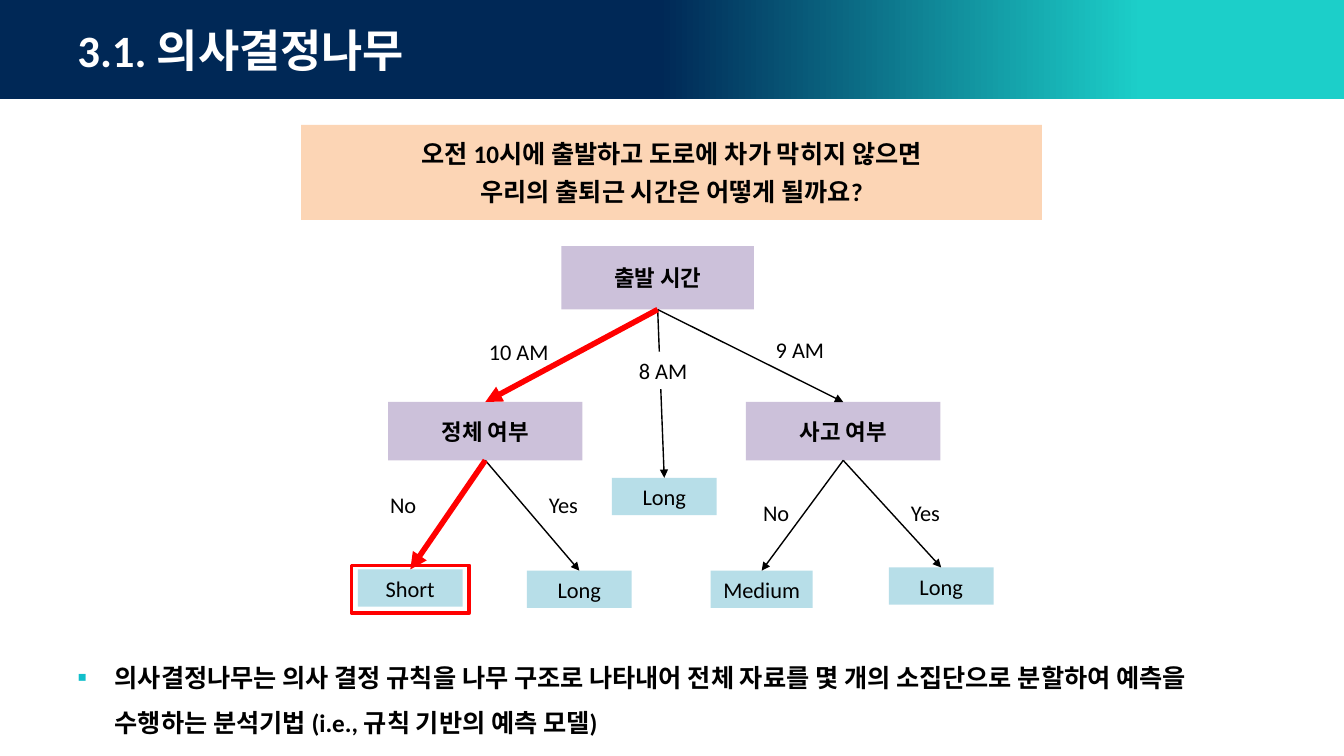
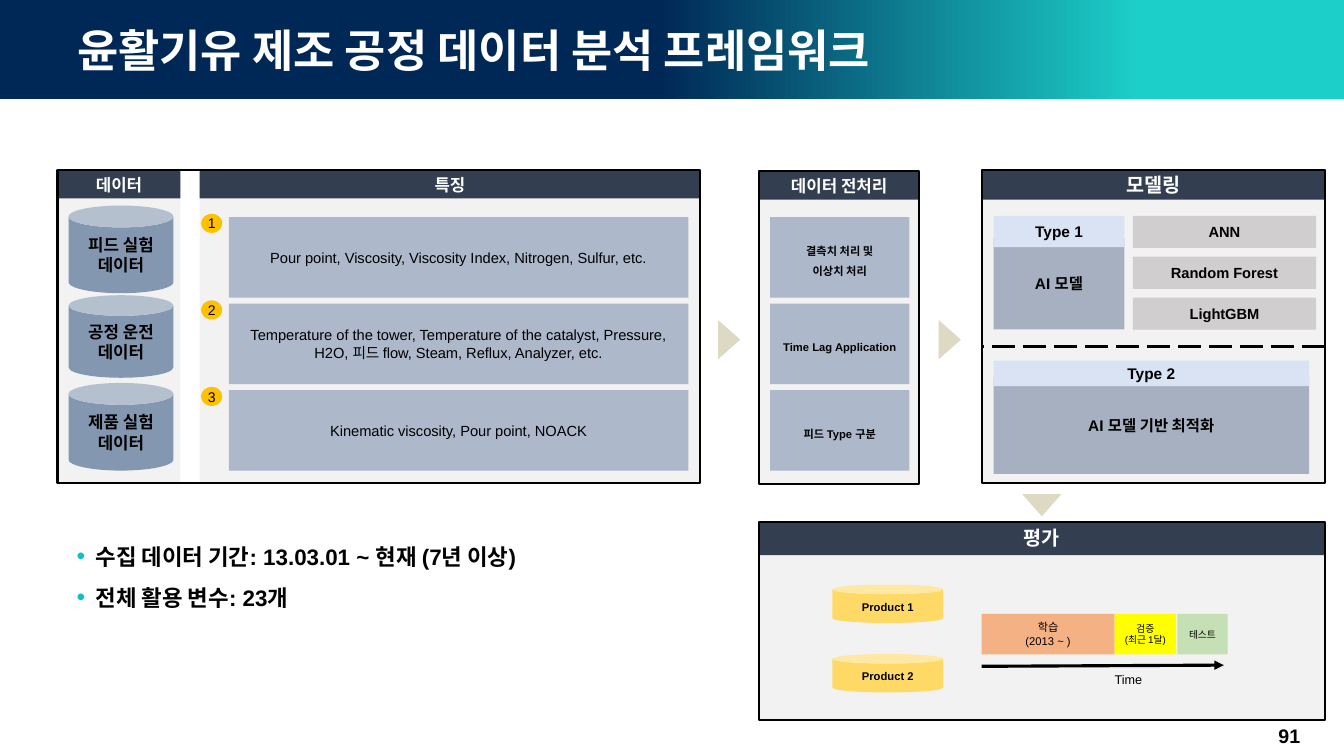
from functools import partial
from lxml import etree
from pptx import Presentation
from pptx.dml.color import RGBColor
from pptx.enum import dml, shapes, text
from pptx.oxml import ns
from pptx.util import Cm, Pt

KIND = shapes.MSO_SHAPE
MID, TOP = text.MSO_ANCHOR.MIDDLE, text.MSO_ANCHOR.TOP
LEFT, MIDST, RIGHT = text.PP_ALIGN.LEFT, text.PP_ALIGN.CENTER, text.PP_ALIGN.RIGHT
BLACK, WHITE, RED = "000000", "FFFFFF", "FF0000"
NAVY, TEAL, MINT = "002856", "1CCFC9", "11BFCB"
PEACH, LILAC, SKY = "FCD5B5", "CCC1DA", "B7DEE8"
PALE, SLATE, STEEL, SAND = "F2F2F2", "333F50", "ADB9CA", "DDD9C3"
WIDE, TALL, BAND = 33.87, 19.05, 2.49


def color(code):
    return RGBColor.from_string(code)


def add(node, tag, **attrs):
    item = etree.SubElement(node, ns.qn(tag))
    for key, value in attrs.items():
        item.set(key, value)
    return item


def bullet(para, mark, indent):
    props = para._p.get_or_add_pPr()
    props.set("marL", str(Cm(indent)))
    props.set("indent", str(-Cm(indent)))
    add(add(props, "a:buClr"), "a:srgbClr", val=MINT)
    add(props, "a:buSzPct", val="110000")
    add(props, "a:buFont", typeface="Arial")
    add(props, "a:buChar", char=mark)


def write(shape, words, face, size, bold, ink, align, anchor, wrap, gap, lead, mark, indent):
    frame = shape.text_frame
    frame.word_wrap = wrap
    frame.vertical_anchor = anchor
    if anchor == MID:
        frame.margin_top = frame.margin_bottom = 0
    for i, line in enumerate(words.split("\n")):
        para = frame.add_paragraph() if i else frame.paragraphs[0]
        para.text = line
        para.alignment = align
        if mark:
            bullet(para, mark, indent)
        if lead:
            para.line_spacing = lead
        if i and gap:
            para.space_before = Pt(gap)
        font = para.font
        font.name, font.size, font.bold = face, Pt(size), bold
        font.color.rgb = color(ink)


def box(slide, x, y, w, h, words="", size=12, fill=None, kind=KIND.RECTANGLE, face="Arial",
        bold=False, ink=BLACK, align=MIDST, anchor=MID, wrap=True, gap=0, lead=None,
        mark=None, indent=0, edge=None, turn=0):
    place = [Cm(v) for v in (x, y, w, h)]
    if kind is None:
        shape = slide.shapes.add_textbox(*place)
    else:
        shape = slide.shapes.add_shape(kind, *place)
        shape.shadow.inherit = False
    shape.rotation = turn
    if fill:
        shape.fill.solid()
        shape.fill.fore_color.rgb = color(fill)
    else:
        shape.fill.background()
    if edge:
        shape.line.color.rgb = color(edge[0])
        shape.line.width = Pt(edge[1])
    else:
        shape.line.fill.background()
    if words:
        write(shape, words, face, size, bold, ink, align, anchor, wrap, gap, lead, mark, indent)
    return shape


def line(slide, ends, ink=BLACK, width=1, head=True, dash=None):
    link = slide.shapes.add_connector(shapes.MSO_CONNECTOR.STRAIGHT, *[Cm(v) for v in ends])
    link.line.color.rgb = color(ink)
    link.line.width = Pt(width)
    if dash:
        link.line.dash_style = dash
    if head:
        add(link.line._get_or_add_ln(), "a:tailEnd", type="triangle")
    add(link._element.spPr, "a:effectLst")
    return link


def branch(slide, start, end, hot=False):
    link = line(slide, (0, 0, 0, 0), RED if hot else BLACK, 4 if hot else 1)
    link.begin_connect(start, 2)
    link.end_connect(end, 0)


def base(deck, title, face):
    slide = deck.slides.add_slide(deck.slide_layouts[6])
    band = box(slide, 0, 0, WIDE, BAND)
    band.fill.gradient()
    band.fill.gradient_angle = 0
    for stop, (spot, code) in zip(band.fill.gradient_stops, ((0.49, NAVY), (0.85, TEAL))):
        stop.position = spot
        stop.color.rgb = color(code)
    box(slide, 1.7, 0, 30.48, BAND, title, 32, kind=None, face=face, bold=True,
        ink=WHITE, align=LEFT)
    return slide


def tree(deck):
    slide = base(deck, "3.1. 의사결정나무", "Calibri")
    put = partial(box, slide, face="Calibri")
    put(7.59, 3.15, 18.67, 2.39, "오전 10시에 출발하고 도로에 차가 막히지 않으면\n우리의 출퇴근 시간은 어떻게 될까요?",
        18, PEACH, bold=True, gap=5)

    node = partial(put, size=16, fill=LILAC, bold=True, wrap=False)
    root = node(14.15, 6.2, 4.85, 1.6, "출발 시간")
    jam = node(9.78, 10.13, 4.9, 1.47, "정체 여부")
    crash = node(18.8, 10.13, 4.9, 1.47, "사고 여부")

    def leaf(x, y, words, w=2.64):
        return put(x, y, w, 0.94, words, 16, SKY)

    short = leaf(9.02, 14.35, "Short")
    slow = leaf(13.28, 14.38, "Long")
    early = leaf(15.42, 12.04, "Long")
    medium = leaf(17.91, 14.38, "Medium", 2.57)
    late = leaf(22.4, 14.3, "Long")
    for start, end in ((root, crash), (root, early), (jam, slow), (crash, medium), (crash, late)):
        branch(slide, start, end)
    branch(slide, root, jam, True)
    branch(slide, jam, short, True)

    tag = partial(put, w=2.64, h=0.94, size=16, kind=None)
    for x, y, words in ((12.07, 8.38, "10 AM"), (19.3, 8.33, "9 AM")):
        tag(x, y, words=words, align=LEFT)
    tag(15.85, 8.86, words="8 AM", align=LEFT, fill=WHITE)
    for x, y, words in ((8.84, 12.24, "No"), (12.88, 12.24, "Yes"),
                        (18.24, 12.45, "No"), (22, 12.45, "Yes")):
        tag(x, y, words=words)
    put(8.86, 14.25, 2.97, 1.19, edge=(RED, 2.75))
    put(1.7, 16.18, 30.48, 2.87,
        "의사결정나무는 의사 결정 규칙을 나무 구조로 나타내어 전체 자료를 몇 개의 소집단으로 분할하여 예측을 "
        "수행하는 분석기법 (i.e., 규칙 기반의 예측 모델)",
        18, kind=None, bold=True, align=LEFT, anchor=TOP, lead=1.5, mark="▪", indent=0.94)


def panel(slide, x, y, w, h, words, size=12, head=0.71):
    box(slide, x, y, w, h, fill=PALE)
    box(slide, x, y, w, head, words, size, SLATE, bold=True, ink=WHITE)


def frame(slide, x, y, w, h):
    box(slide, x, y, w, h, edge=(BLACK, 1.5))


def inputs(slide):
    panel(slide, 1.45, 4.29, 3.1, 7.88, "데이터")
    panel(slide, 5.03, 4.29, 12.62, 7.88, "특징")
    for y, h, words in ((5.18, 2.21, "피드 실험 데이터"), (7.44, 2.08, "공정 운전\n데이터"),
                        (9.65, 2.21, "제품 실험 데이터")):
        box(slide, 1.73, y, 2.64, h, words, 12, "8497B0", KIND.CAN, bold=True)
    traits = ("Pour point, Viscosity, Viscosity Index, Nitrogen, Sulfur, etc.",
              "Temperature of the tower, Temperature of the catalyst, Pressure, "
              "H2O, 피드 flow, Steam, Reflux, Analyzer, etc.",
              "Kinematic viscosity, Pour point, NOACK")
    steps = ("결측치 처리 및\n이상치 처리", "Time Lag Application", "피드 Type 구분")
    frame(slide, 1.45, 4.29, 16.2, 7.88)
    panel(slide, 19.13, 4.32, 4.04, 7.88, "데이터 전처리")
    frame(slide, 19.13, 4.32, 4.04, 7.88)
    for i, (trait, step) in enumerate(zip(traits, steps)):
        y = 5.47 + 2.18 * i
        box(slide, 5.77, y, 11.58, 2.03, trait, 10.5, STEEL)
        dot = box(slide, 5.07, y - 0.08, 0.53, 0.48, str(i + 1), 10, "FFC000", KIND.OVAL, wrap=False)
        dot.text_frame.margin_left = dot.text_frame.margin_right = 0
        box(slide, 19.41, y, 3.51, 2.03, step, 8, STEEL, bold=True, lead=1.5)


def models(slide):
    panel(slide, 24.74, 4.27, 8.66, 7.9, "모델링", 14, 0.76)
    for y, w, head, body, kind, words in ((5.44, 3.3, 0.79, (5.99, 2.31), "Type 1", "AI 모델"),
                                          (9.09, 7.95, 0.64, (9.5, 2.44), "Type 2", "AI 모델 기반 최적화")):
        box(slide, 25.04, body[0], w, body[1], words, 11, "A6B0C1", bold=True)
        box(slide, 25.04, y, w, head, kind, 11, "DAE3F3", bold=True)
    for i, words in enumerate(("ANN", "Random Forest", "LightGBM")):
        box(slide, 28.55, 5.44 + 1.03 * i, 4.62, 0.81, words, 10.5, "D0CECE", bold=True)
    frame(slide, 24.74, 4.29, 8.66, 7.88)
    line(slide, (33.38, 8.74, 24.74, 8.74), width=2, head=False, dash=dml.MSO_LINE.LONG_DASH)


def review(slide):
    panel(slide, 19.13, 13.13, 14.26, 5.03, "평가", 14, 0.86)
    frame(slide, 19.13, 13.15, 14.26, 5)
    for i in range(2):
        box(slide, 20.98, 14.73 + 1.75 * i, 2.79, 0.97, f"Product {i + 1}", 8, "FFD966",
            KIND.CAN, bold=True, lead=1.1)
    for x, w, words, size, fill in ((24.74, 3.35, "학습\n(2013 ~ )", 8, "F4B183"),
                                    (28.09, 1.55, "검증\n(최근 1달)", 7, "FFFF00"),
                                    (29.67, 1.27, "테스트", 7, "C5E0B4")):
        box(slide, x, 15.47, w, 1.02, words, size, fill)
    line(slide, (24.74, 16.79, 30.84, 16.76), width=2.25)
    box(slide, 27.84, 16.79, 1.52, 0.64, "Time", 9, kind=None, align=LEFT)


def flow(deck):
    slide = base(deck, "윤활기유 제조 공정 데이터 분석 프레임워크", "Arial")
    inputs(slide)
    models(slide)
    review(slide)
    for x, y, turn in ((17.88, 8.28, 90), (23.44, 8.28, 90), (25.76, 12.45, 180)):
        box(slide, x, y, 0.99, 0.56, fill=SAND, kind=KIND.ISOSCELES_TRIANGLE, turn=turn)
    box(slide, 1.68, 13.56, 15.21, 1.98, "수집 데이터 기간: 13.03.01 ~ 현재 (7년 이상)\n전체 활용 변수: 23개",
        16, kind=None, bold=True, align=LEFT, anchor=TOP, gap=10, mark="•", indent=0.48)
    box(slide, 25.65, 18.03, 7.37, 1.02, "91", 14, kind=None, bold=True, align=RIGHT)


def main():
    deck = Presentation()
    deck.slide_width, deck.slide_height = Cm(WIDE), Cm(TALL)
    tree(deck)
    flow(deck)
    deck.save("out.pptx")


if __name__ == "__main__":
    main()
